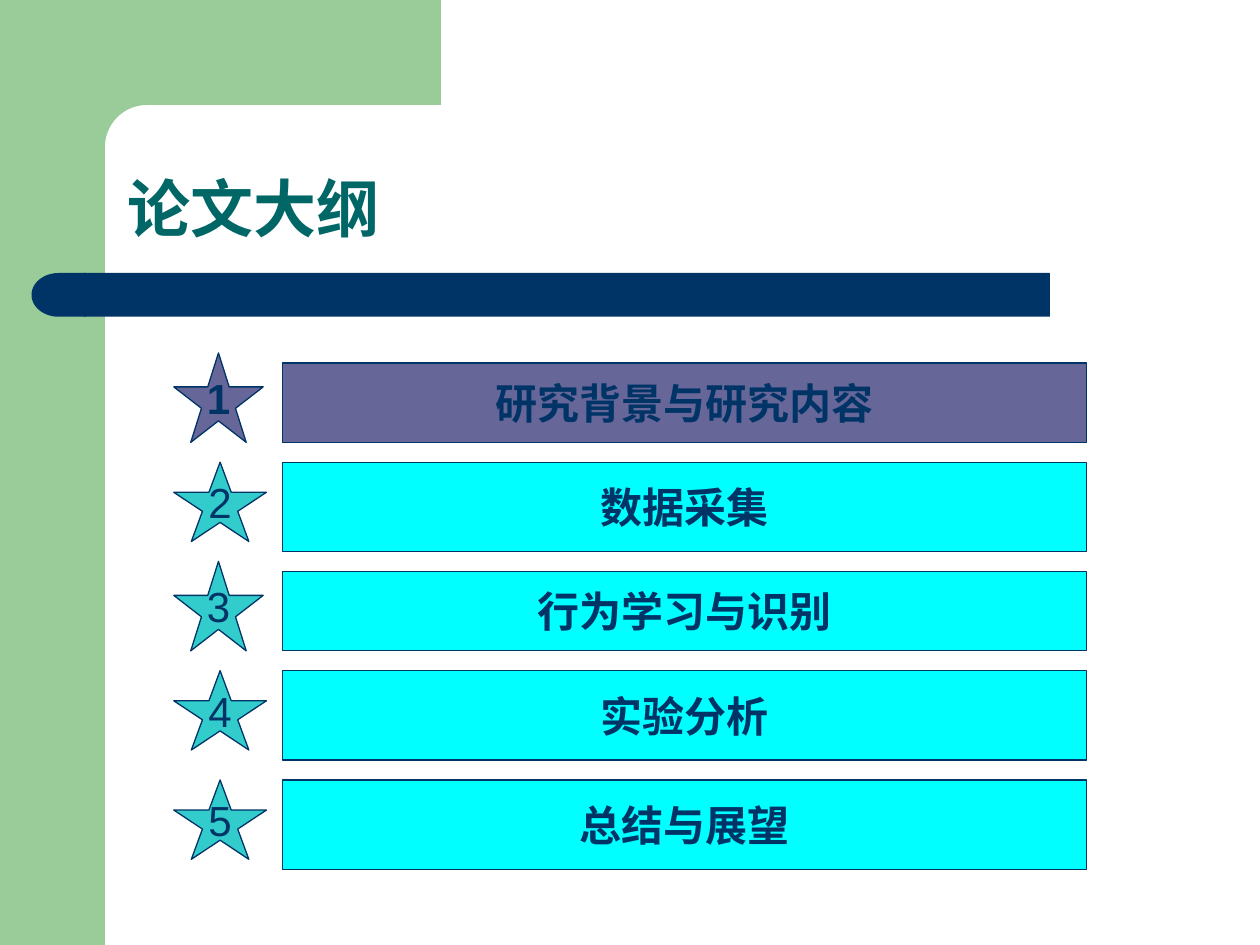
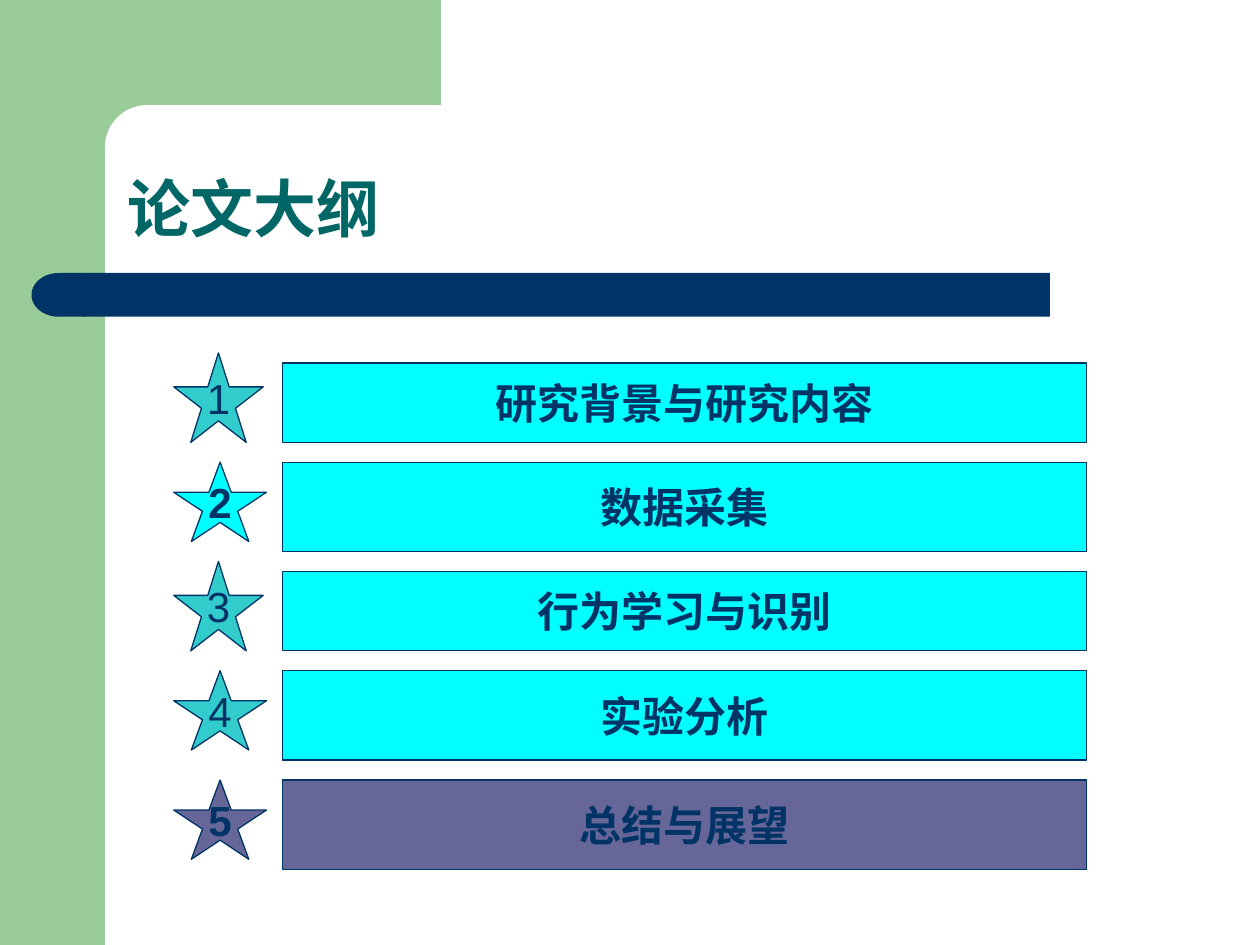
from dataclasses import dataclass
from math import cos, pi, sin

from lxml.etree import SubElement
from pptx import Presentation
from pptx.dml.color import RGBColor
from pptx.enum.shapes import MSO_SHAPE as Preset
from pptx.enum.text import MSO_ANCHOR as Anchor, MSO_AUTO_SIZE as AutoSize, PP_ALIGN as Align
from pptx.oxml.ns import qn
from pptx.shapes.autoshape import Shape
from pptx.slide import Slide
from pptx.util import Pt

COLORS = {
    "green": "99CC99",
    "navy": "003366",
    "title": "006666",
    "purple": "666699",
    "teal": "33CCCC",
    "cyan": "00FFFF",
}
FONT = "Arial"
TITLE = "论文大纲"

# Chapter rows, measured in points
SHORT, TALL = 45.35, 51.1
ROW_TOP, ROW_GAP = 207.4, 11.35
STAR_LEFT, BAR_LEFT, BAR_WIDTH = 99.3, 161.3, 459.4
STAR_POINTS = [
    (0, 0.38), (0.38, 0.38), (0.5, 0), (0.62, 0.38), (1, 0.38),
    (0.69, 0.62), (0.81, 1), (0.5, 0.76), (0.19, 1), (0.31, 0.62),
]


@dataclass(frozen=True)
class Chapter:
    name: str
    height: float


@dataclass(frozen=True)
class Outline:
    current: int
    bright_star: int | None = None


CHAPTERS = [
    Chapter("研究背景与研究内容", SHORT),
    Chapter("数据采集", TALL),
    Chapter("行为学习与识别", SHORT),
    Chapter("实验分析", TALL),
    Chapter("总结与展望", TALL),
]
OUTLINES = [Outline(current=1), Outline(current=5, bright_star=2)]


def color(name: str) -> RGBColor:
    return RGBColor.from_string(COLORS[name])


def paint(shape: Shape, fill: str, line: str | None = None) -> None:
    shape.shadow.inherit = False
    shape.fill.solid()
    shape.fill.fore_color.rgb = color(fill)
    if line:
        shape.line.color.rgb = color(line)
        shape.line.width = Pt(0.75)
    else:
        shape.line.fill.background()


def add_preset(page: Slide, preset: Preset, left: float, top: float,
               width: float, height: float) -> Shape:
    return page.shapes.add_shape(preset, Pt(left), Pt(top), Pt(width), Pt(height))


def add_polygon(page: Slide, points: list[tuple[float, float]]) -> Shape:
    corners = [(Pt(x), Pt(y)) for x, y in points]
    builder = page.shapes.build_freeform(*corners[0])
    builder.add_line_segments(corners[1:], close=True)
    return builder.convert_to_shape()


def write(shape: Shape, text: str, size: float, ink: str, bold: bool,
          align: Align, anchor: Anchor, wrap: bool) -> None:
    frame = shape.text_frame
    frame.text = text
    frame.auto_size = AutoSize.NONE
    frame.word_wrap = wrap
    frame.vertical_anchor = anchor
    para = frame.paragraphs[0]
    para.alignment = align
    font = para.font
    font.name, font.size, font.bold = FONT, Pt(size), bold
    font.color.rgb = color(ink)
    # East Asian text takes the same typeface
    for latin in list(shape.element.iter(qn("a:latin"))):
        east_asian = SubElement(latin.getparent(), qn("a:ea"), typeface=FONT)
        latin.addnext(east_asian)


def add_frame(page: Slide) -> None:
    """Green side and corner, navy rule with a rounded end."""
    paint(add_preset(page, Preset.RECTANGLE, 0, 0, 60, 540), "green")
    center, radius, steps = 84, 24, 16
    angles = [pi / 2 * step / steps for step in range(steps + 1)]
    curve = [(center - radius * sin(a), center - radius * cos(a)) for a in angles]
    corner = [(36, 0), (252, 0), (252, 60), *curve, (60, 92), (36, 92)]
    paint(add_polygon(page, corner), "green")
    paint(add_preset(page, Preset.RECTANGLE, 48, 156, 552, 25), "navy")
    rule_end = add_preset(page, Preset.FLOWCHART_DELAY, 18, 156, 31, 25)
    rule_end.rotation = 180
    paint(rule_end, "navy")


def add_title(page: Slide) -> None:
    title = page.shapes.title
    title.left, title.top, title.width, title.height = Pt(65.5), Pt(66), Pt(613), Pt(78.5)
    write(title, TITLE, 36, "title", True, Align.LEFT, Anchor.BOTTOM, True)
    title.text_frame.paragraphs[0].line_spacing = 0.9


def add_label(shape: Shape, text: str, fill: str, bold: bool) -> None:
    paint(shape, fill, "navy")
    write(shape, text, 24, "navy", bold, Align.CENTER, Anchor.MIDDLE, False)


def add_chapter(page: Slide, number: int, chapter: Chapter, top: float,
                outline: Outline) -> None:
    # Short bars carry a tall star standing on the bar's bottom line
    short = chapter.height == SHORT
    width, height = (TALL, TALL) if short else (53, SHORT)
    star_top = top + chapter.height - height if short else top
    star = add_polygon(page, [(STAR_LEFT + x * width, star_top + y * height)
                              for x, y in STAR_POINTS])
    current = number == outline.current
    bright = number == outline.bright_star
    star_fill = "purple" if current else "cyan" if bright else "teal"
    add_label(star, str(number), star_fill, current or bright)
    bar = add_preset(page, Preset.RECTANGLE, BAR_LEFT, top, BAR_WIDTH, chapter.height)
    add_label(bar, chapter.name, "purple" if current else "cyan", True)


def main() -> None:
    deck = Presentation()
    deck.slide_width, deck.slide_height = Pt(720), Pt(540)
    for outline in OUTLINES:
        page = deck.slides.add_slide(deck.slide_layouts[5])
        add_frame(page)
        add_title(page)
        top = ROW_TOP
        for number, chapter in enumerate(CHAPTERS, start=1):
            add_chapter(page, number, chapter, top, outline)
            top += chapter.height + ROW_GAP
    deck.save("out.pptx")


if __name__ == "__main__":
    main()
